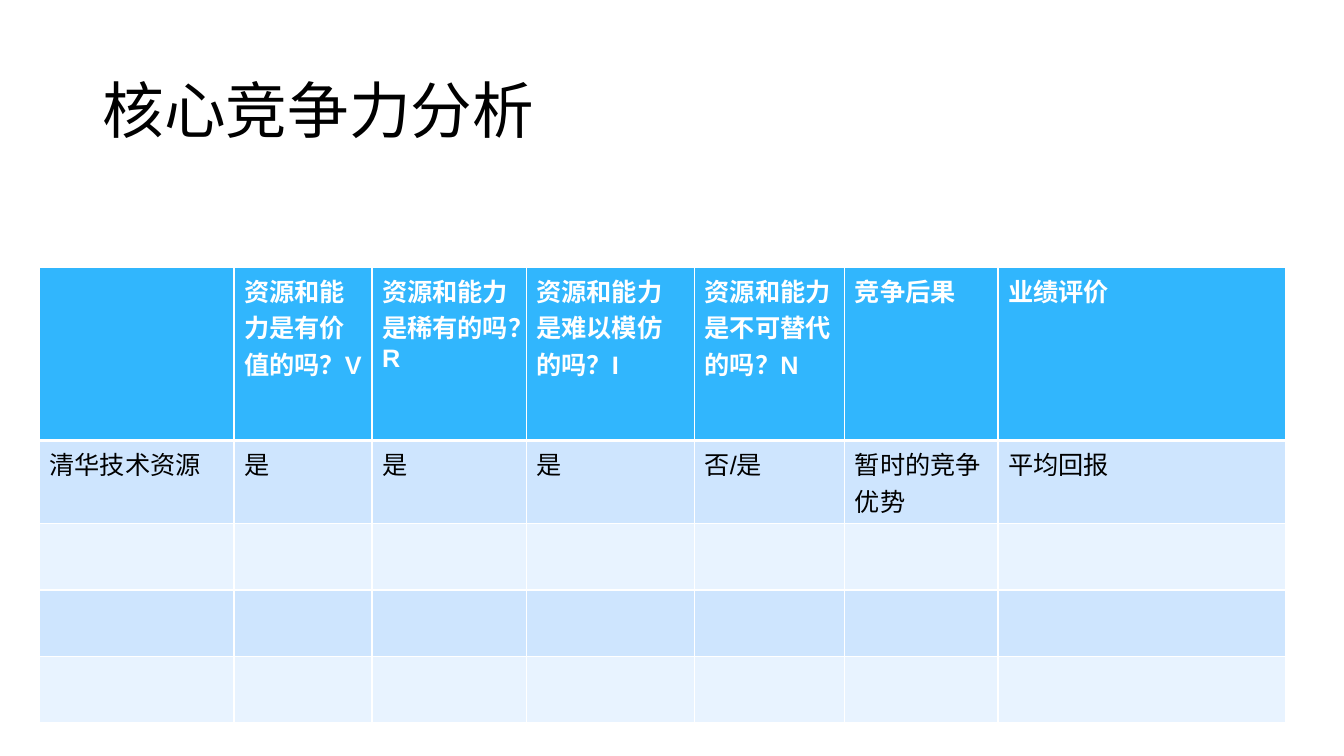
import pptx
import pptx.util
import pptx.dml.color
import pptx.enum.text
import pptx.oxml
import pptx.oxml.ns

Inches, Pt = pptx.util.Inches, pptx.util.Pt
RGB = pptx.dml.color.RGBColor.from_string

# Content
TITLE = "核心竞争力分析"
HEAD = ["", "资源和能力是有价值的吗？V", "资源和能力是稀有的吗？R",
        "资源和能力是难以模仿的吗？I", "资源和能力是不可替代的吗？N",
        "竞争后果", "业绩评价"]
BODY = [["清华技术资源", "是", "是", "是", "否/是", "暂时的竞争优势", "平均回报"]]
BLANK = 3
WIDTHS = [1.93, 1.37, 1.53, 1.67, 1.49, 1.52, 2.85]
HIGH = {"head": 1.72, "body": 0.66}

# Theme
THEME = {
    "head": "31B6FD", "bands": ["CEE5FE", "E8F3FF"], "line": "FFFFFF",
    "title": {"name": "Arial", "size": Pt(44), "bold": False, "ink": "000000"},
    "top": {"name": "Arial", "size": Pt(18), "bold": True, "ink": "FFFFFF"},
    "cell": {"name": "Arial", "size": Pt(18), "bold": False, "ink": "000000"},
}


def write(frame, text, style):
    run = frame.paragraphs[0].add_run()
    run.text = text
    for key, val in style.items():
        if key == "ink":
            run.font.color.rgb = RGB(val)
        else:
            setattr(run.font, key, val)


def edge(cell, sides):
    props = cell._tc.get_or_add_tcPr()
    for spot, (side, size) in enumerate(sides.items()):
        props.insert(spot, pptx.oxml.parse_xml(
            f'<a:ln{side} {pptx.oxml.ns.nsdecls("a")} w="{Pt(size)}">'
            f'<a:solidFill><a:srgbClr val="{THEME["line"]}"/></a:solidFill>'
            f'</a:ln{side}>'))


def main():
    deck = pptx.Presentation()
    deck.slide_width, deck.slide_height = Inches(13.33), Inches(7.5)
    slide = deck.slides.add_slide(deck.slide_layouts[6])

    # Table
    rows = [HEAD] + BODY + [[""] * len(HEAD)] * BLANK
    highs = [HIGH["head"]] + [HIGH["body"]] * (len(rows) - 1)
    table = slide.shapes.add_table(
        len(rows), len(HEAD), Inches(0.39), Inches(2.65),
        Inches(sum(WIDTHS)), Inches(sum(highs))).table
    table.horz_banding = False
    table.first_row = False
    for col, wide in zip(table.columns, WIDTHS):
        col.width = Inches(wide)
    for r, (row, high) in enumerate(zip(rows, highs)):
        table.rows[r].height = Inches(high)
        for c, text in enumerate(row):
            cell = table.cell(r, c)
            cell.fill.solid()
            tint = THEME["bands"][(r - 1) % 2] if r else THEME["head"]
            cell.fill.fore_color.rgb = RGB(tint)
            edge(cell, {"L": 1, "R": 1, "T": 3 if r == 1 else 1,
                        "B": 1 if r else 3})
            if text:
                write(cell.text_frame, text, THEME["cell" if r else "top"])

    # Title
    box = slide.shapes.add_textbox(
        Inches(0.92), Inches(0.4), Inches(11.5), Inches(1.45))
    frame = box.text_frame
    frame.word_wrap = True
    frame.vertical_anchor = pptx.enum.text.MSO_ANCHOR.MIDDLE
    frame.paragraphs[0].line_spacing = 0.9
    write(frame, TITLE, THEME["title"])

    deck.save("out.pptx")


if __name__ == "__main__":
    main()
